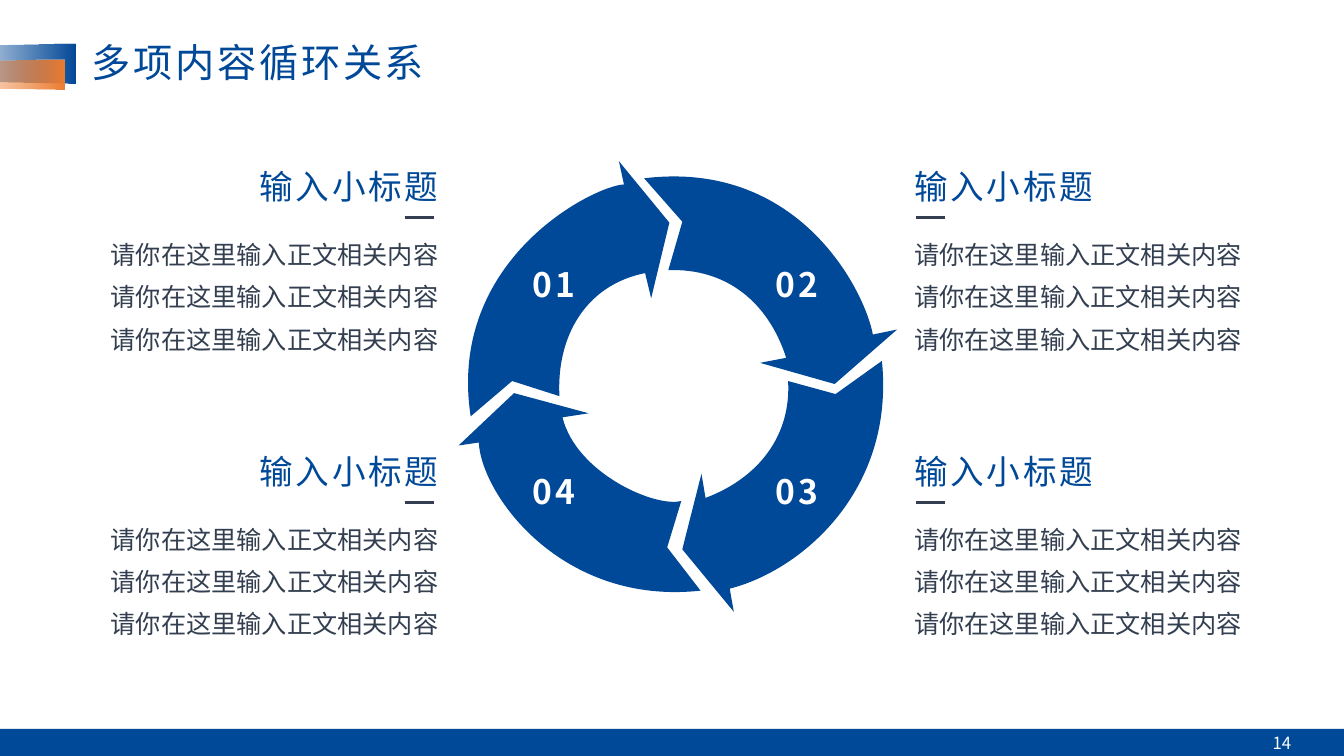
from pptx import Presentation
from pptx.dml.color import RGBColor
from pptx.enum.shapes import MSO_CONNECTOR, MSO_SHAPE
from pptx.enum.text import MSO_ANCHOR, MSO_AUTO_SIZE, PP_ALIGN
from pptx.oxml.ns import qn
from pptx.util import Pt
from lxml.etree import SubElement

BLUE = RGBColor(0x00, 0x48, 0x98)
ORANGE = RGBColor(0xED, 0x7D, 0x31)
SLATE = RGBColor(0x33, 0x3F, 0x50)
WHITE = RGBColor(0xFF, 0xFF, 0xFF)
FONT = "Noto Sans CJK JP"

TITLE = "多项内容循环关系"
PAGE = "14"
HEAD = "输入小标题"
BODY = ["请你在这里输入正文相关内容"] * 3

COLS = [
    {"head": 105.8, "body": 69.5, "rule": 289, "mark": 367.9, "align": PP_ALIGN.RIGHT},
    {"head": 645.8, "body": 645.8, "rule": 654.3, "mark": 541.4, "align": PP_ALIGN.LEFT},
]
ROWS = [(115.2, 185, ("01", "02")), (318.5, 332.6, ("04", "03"))]

FLAGS = [(-8.6, -2.9, 29.2, 96.5, BLUE), (-6.2, 11.5, 20.9, 83.5, ORANGE)]

ARROWS = [
    [(460.1, 127.4), (487.4, 158.4), (477.4, 193),
     (518.4, 191.5, 548.6, 215.3, 561.6, 255.6),
     (542.9, 259.2), (596.2, 274.3), (640.8, 235.4), (623.5, 239),
     (617.8, 208.1, 571, 113.8, 460.1, 127.4)],
    [(630, 257.8), (630, 257.8, 596.9, 281.5, 596.9, 281.5), (563, 272.2),
     (565.2, 311, 542.2, 341.3, 504, 355.7),
     (501.1, 338.4), (487.4, 392.4), (524.2, 437), (521.3, 420.5),
     (572.4, 407.5, 639.4, 350.6, 630, 257.8)],
    [(500.4, 421.9), (476.6, 391), (486.7, 357.8),
     (468.7, 362.9, 411.8, 338.4, 401.8, 298.1),
     (420.5, 295.2), (367.2, 280.8), (327.6, 318.2), (342, 316.1),
     (344.2, 354.2, 401.8, 432.7, 500.4, 421.9)],
    [(336.2, 297.4), (365.8, 272.2), (399.6, 283),
     (397.4, 241.2, 417.6, 203.8, 460.8, 195.1),
     (465.1, 213.1), (478.1, 159.1), (442.1, 115.2), (445.7, 131.8),
     (424.8, 132.5, 319, 185, 336.2, 297.4)],
]


def paint(shape, color):
    shape.shadow.inherit = False
    shape.fill.solid()
    shape.fill.fore_color.rgb = color
    shape.line.fill.background()


def write(slide, box, lines, size, color, align=PP_ALIGN.LEFT, bold=False,
          track=0, space=None, wrap=True, anchor=MSO_ANCHOR.TOP, grow=True):
    frame = slide.shapes.add_textbox(*map(Pt, box)).text_frame
    frame.word_wrap = wrap
    frame.vertical_anchor = anchor
    frame.auto_size = MSO_AUTO_SIZE.SHAPE_TO_FIT_TEXT if grow else MSO_AUTO_SIZE.NONE
    for i, line in enumerate(lines):
        para = frame.add_paragraph() if i else frame.paragraphs[0]
        para.alignment = align
        if space:
            para.line_spacing = space
        run = para.add_run()
        run.text = line
        font = run.font
        font.name, font.size, font.bold = FONT, Pt(size), bold
        font.color.rgb = color
        props = run._r.get_or_add_rPr()
        SubElement(props, qn("a:ea")).set("typeface", FONT)
        if track:
            props.set("spc", str(track * 100))


def add_flags(slide):
    group = slide.shapes.add_group_shape()
    for *box, color in FLAGS:
        flag = group.shapes.add_shape(MSO_SHAPE.TRAPEZOID, *map(Pt, box))
        flag.adjustments[0] = 0.07
        flag.rotation = 270
        paint(flag, color)
        flag.fill.gradient()
        flag.fill.gradient_angle = 270
        for stop, place in zip(flag.fill.gradient_stops, (0, 1)):
            stop.position = place
            stop.color.rgb = color
        clear = flag._element.spPr.find(".//" + qn("a:srgbClr"))
        SubElement(clear, qn("a:alpha")).set("val", "0")


def bend(shape, parts):
    lines = iter(list(shape._element.spPr.iter(qn("a:lnTo"))))
    for part in parts[1:]:
        first = next(lines)
        if len(part) == 2:
            continue
        curve = first.makeelement(qn("a:cubicBezTo"))
        first.addprevious(curve)
        for line in (first, next(lines), next(lines)):
            curve.append(line[0])
            line.getparent().remove(line)


def add_ring(slide):
    group = slide.shapes.add_group_shape()
    for parts in ARROWS:
        dots = [tuple(map(Pt, part[i:i + 2]))
                for part in parts for i in range(0, len(part), 2)]
        pen = group.shapes.build_freeform(*dots[0])
        pen.add_line_segments(dots[1:], close=True)
        arrow = pen.convert_to_shape()
        bend(arrow, parts)
        paint(arrow, BLUE)


def add_rule(slide, x, y):
    rule = slide.shapes.add_connector(
        MSO_CONNECTOR.STRAIGHT, Pt(x), Pt(y), Pt(x + 20.9), Pt(y))
    rule.line.color.rgb = SLATE
    rule.line.width = Pt(2)
    SubElement(rule._element.spPr, qn("a:effectLst"))


def main():
    deck = Presentation()
    deck.slide_width, deck.slide_height = Pt(960), Pt(540)
    slide = deck.slides.add_slide(deck.slide_layouts[6])
    add_flags(slide)
    bar = slide.shapes.add_shape(MSO_SHAPE.RECTANGLE, 0, Pt(520.7), Pt(960), Pt(19.3))
    paint(bar, BLUE)
    write(slide, (58.3, 27.4, 573, 37.4), [TITLE], 28, BLUE,
          track=2, space=0.9, anchor=MSO_ANCHOR.MIDDLE)
    write(slide, (713.5, 516.2, 216, 28.8), [PAGE], 12, WHITE,
          PP_ALIGN.RIGHT, anchor=MSO_ANCHOR.MIDDLE, grow=False)
    add_ring(slide)
    for top, level, marks in ROWS:
        for col, mark in zip(COLS, marks):
            write(slide, (col["head"], top, 214.6, 36), [HEAD], 24, BLUE,
                  col["align"], track=2)
            write(slide, (col["body"], top + 43.6, 250.6, 95.8), BODY, 18, SLATE,
                  col["align"], space=1.4, wrap=False)
            add_rule(slide, col["rule"], top + 40.2)
            write(slide, (col["mark"], level, 55.4, 36), [mark], 24, WHITE,
                  PP_ALIGN.CENTER, bold=True, track=2)
    deck.save("out.pptx")


if __name__ == "__main__":
    main()
